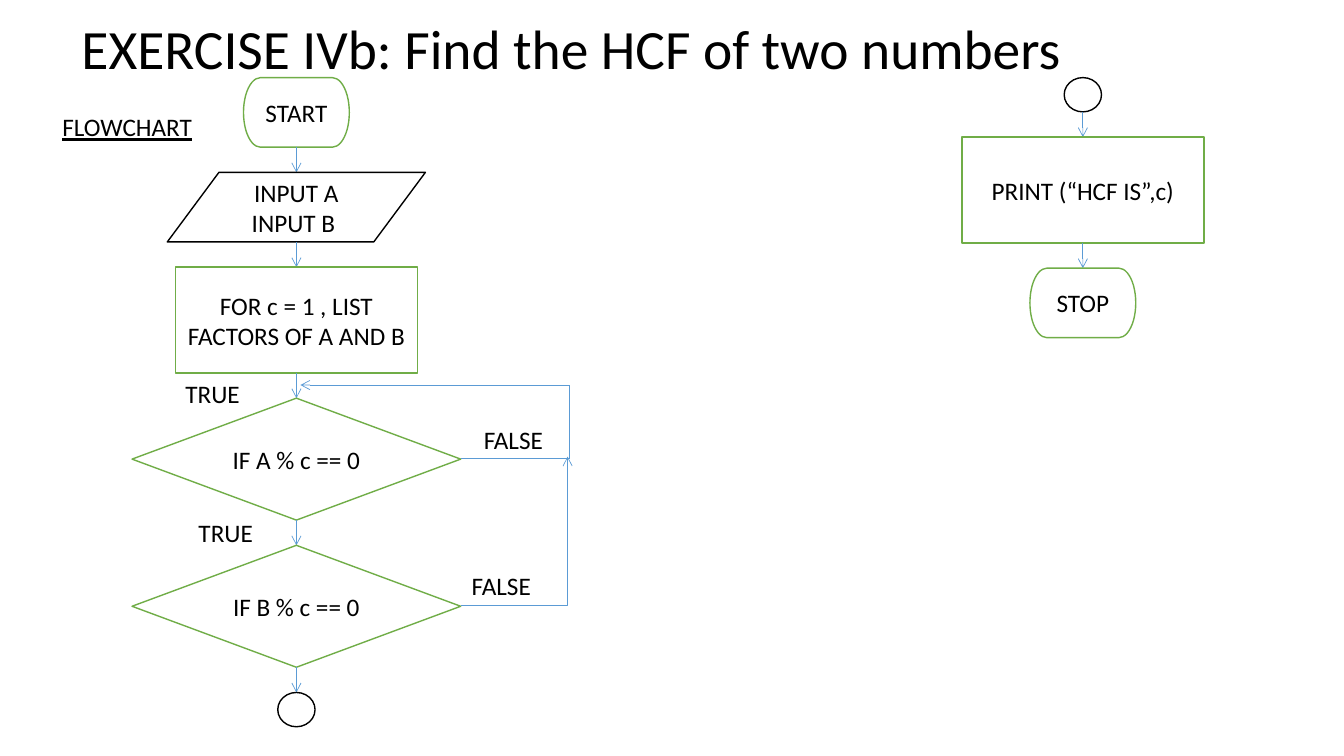
from lxml.etree import SubElement as Sub
from pptx import Presentation
from pptx.dml.color import RGBColor as Rgb
from pptx.enum.shapes import MSO_CONNECTOR as Conn, MSO_SHAPE as Shape
from pptx.enum.text import MSO_ANCHOR as Anchor, MSO_AUTO_SIZE as Fit, PP_ALIGN as Align
from pptx.oxml.ns import qn
from pptx.util import Inches, Pt

HUE = {"ink": "000000", "paper": "FFFFFF", "green": "70AD47", "blue": "5B9BD5"}
CELL = 0.1  # inches per grid column and row
GAP = 2.5   # rows between flowchart steps


def grid(*cells):
    return [Inches(n * CELL) for n in cells]


class Board:
    font = "Calibri"
    size = 18

    def __init__(self, slide):
        self.shapes = slide.shapes

    def words(self, frame, lines, size=None, align=Align.LEFT, under=None):
        for i, line in enumerate(lines):
            para = frame.paragraphs[0] if i == 0 else frame.add_paragraph()
            para.alignment = align
            run = para.add_run()
            run.text = line
            run.font.name = self.font
            run.font.size = Pt(size or self.size)
            run.font.underline = under
            run.font.color.rgb = Rgb.from_string(HUE["ink"])

    def title(self, text, *area):
        frame = self.shapes.add_textbox(*grid(*area)).text_frame
        frame.word_wrap = True
        frame.vertical_anchor = Anchor.MIDDLE
        self.words(frame, [text], size=39.6)
        frame.paragraphs[0].line_spacing = 0.9

    def label(self, text, *area, wrap=False, under=None):
        frame = self.shapes.add_textbox(*grid(*area)).text_frame
        frame.word_wrap = wrap
        frame.auto_size = Fit.SHAPE_TO_FIT_TEXT
        self.words(frame, [text], under=under)

    def node(self, kind, hue, lines, *area):
        box = self.shapes.add_shape(kind, *grid(*area))
        box.shadow.inherit = False
        box.fill.solid()
        box.fill.fore_color.rgb = Rgb.from_string(HUE["paper"])
        box.line.color.rgb = Rgb.from_string(HUE[hue])
        box.line.width = Pt(1)
        box.text_frame.word_wrap = True
        box.text_frame.vertical_anchor = Anchor.MIDDLE
        self.words(box.text_frame, lines, align=Align.CENTER)

    def link(self, start, end, head=True, bent=False):
        kind = Conn.ELBOW if bent else Conn.STRAIGHT
        wire = self.shapes.add_connector(kind, *grid(*start, *end))
        wire.line.color.rgb = Rgb.from_string(HUE["blue"])
        wire.line.width = Pt(0.5)
        props = wire._element.spPr
        if bent:
            props.find(qn("a:prstGeom")).set("prst", "bentConnector2")
        if head:
            Sub(props.find(qn("a:ln")), qn("a:tailEnd"), type="arrow")
        Sub(props, qn("a:effectLst"))

    def flow(self, axis, top, steps):
        """Stack steps down a centre axis, with an arrow between neighbours."""
        for i, (kind, hue, wide, high, *lines) in enumerate(steps):
            if i:
                self.link((axis, top - GAP), (axis, top))
            self.node(kind, hue, lines, axis - wide / 2, top, wide, high)
            top += high + GAP


def main():
    deck = Presentation()
    deck.slide_width, deck.slide_height = Inches(13.33), Inches(7.5)
    board = Board(deck.slides.add_slide(deck.slide_layouts[6]))

    board.title("EXERCISE IVb: Find the HCF of two numbers", 7.1, 1.7, 115, 6.9)
    board.label("FLOWCHART", 5.2, 10.6, 34.5, 4, wrap=True, under=True)

    cap = (Shape.FLOWCHART_TERMINATOR, "green", 10.5, 6.9)
    data = (Shape.FLOWCHART_DATA, "ink", 25.6, 6.9)
    task = (Shape.FLOWCHART_PROCESS, "green", 24, 10.5)
    test = (Shape.FLOWCHART_DECISION, "green", 32.6, 12.1)
    joint = (Shape.FLOWCHART_CONNECTOR, "ink", 3.7, 3.4)
    axis, top = 29.4, 7.7
    board.flow(axis, top, [
        (*cap, "START"),
        (*data, "INPUT A", "INPUT B "),
        (*task, "FOR c = 1 , LIST FACTORS OF A AND B"),
        (*test, "IF A % c == 0"),
        (*test, "IF B % c == 0"),
        joint,
    ])
    board.flow(107.4, top, [joint, (*task, "PRINT (“HCF IS”,c)"), (*cap, "STOP")])

    tip, side, back = axis + 16.3, 56.5, 38.2
    mid_a, mid_b = 45.5, 60.1
    board.link((tip, mid_b), (side - 0.2, mid_a - 0.2), bent=True)
    board.link((tip, mid_a), (side, mid_a), head=False)
    board.link((side, mid_a), (side, back), head=False)
    board.link((side, back), (axis + 0.4, back))

    for text, left, row, wide in [
        ("TRUE", 17.4, 37, 7.5), ("TRUE", 18.7, 50.8, 7.5),
        ("FALSE", 47, 41.6, 8.3), ("FALSE", 45.8, 56.1, 8.3),
    ]:
        board.label(text, left, row, wide, 4)

    deck.save("out.pptx")


if __name__ == "__main__":
    main()
